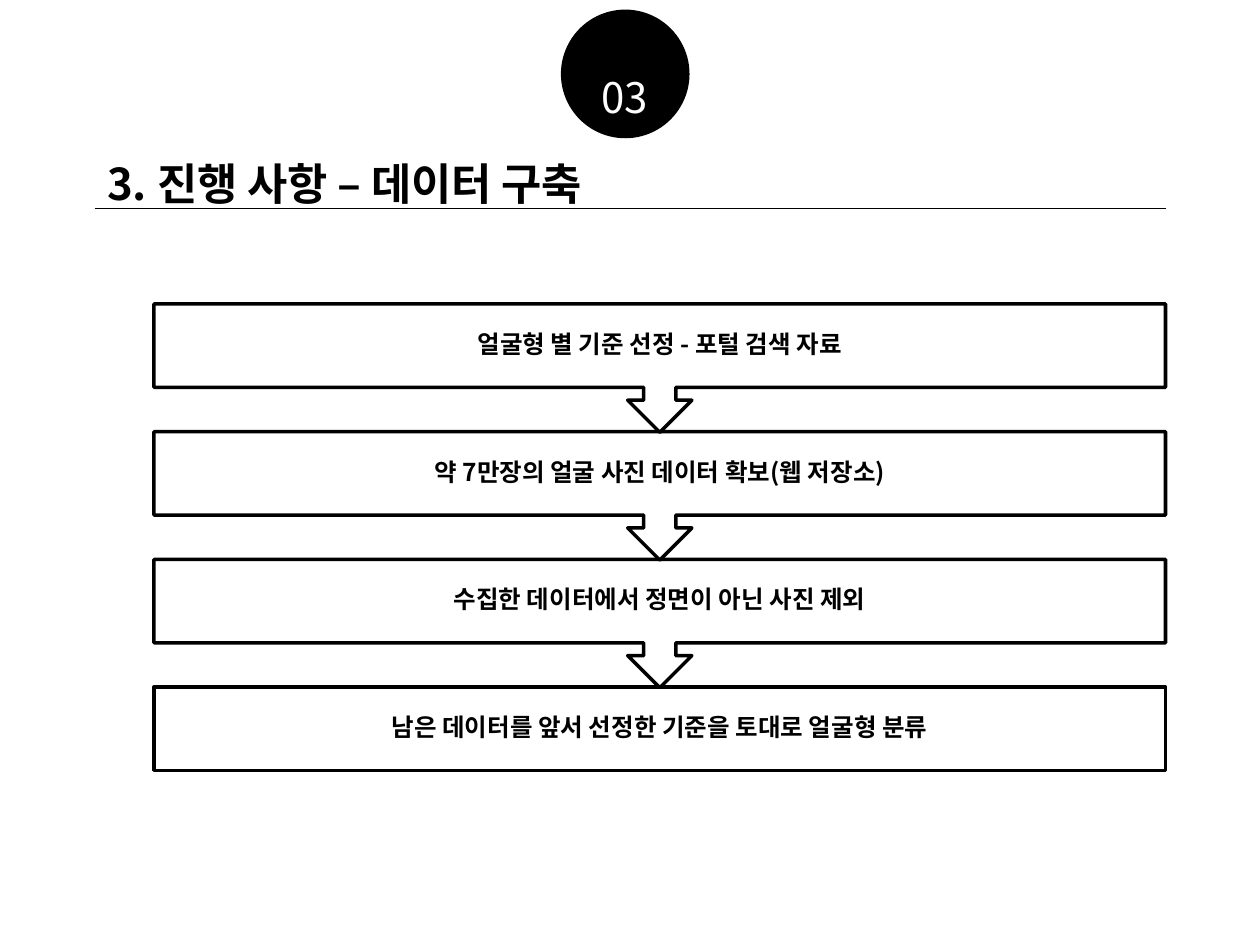
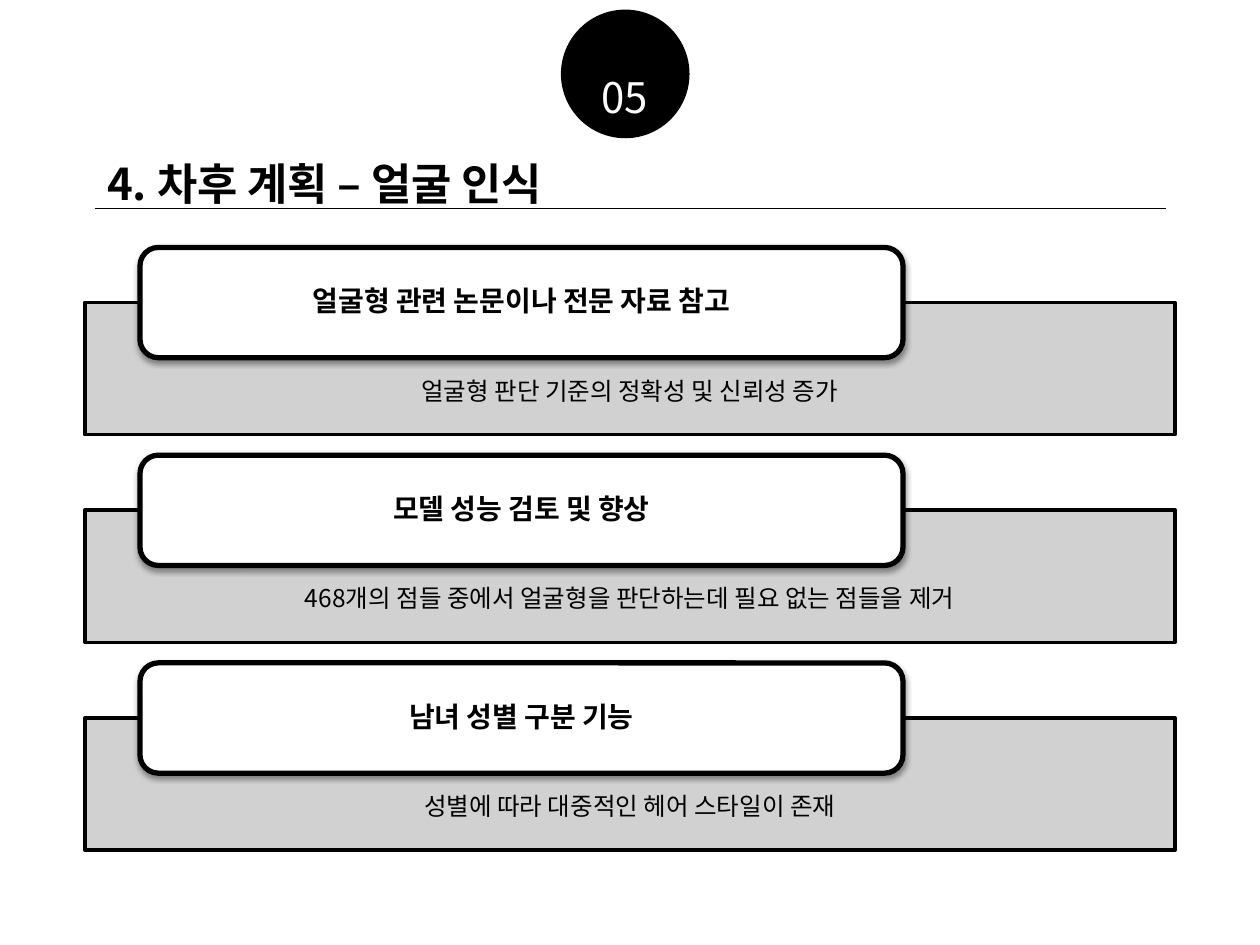
from lxml import etree
from pptx import Presentation
from pptx.dml.color import RGBColor
from pptx.enum.shapes import MSO_SHAPE
from pptx.enum.text import MSO_ANCHOR, PP_ALIGN
from pptx.oxml.ns import qn
from pptx.util import Pt

OVAL, RECT = MSO_SHAPE.OVAL, MSO_SHAPE.RECTANGLE
ROUND, CALLOUT = MSO_SHAPE.ROUNDED_RECTANGLE, MSO_SHAPE.UP_ARROW_CALLOUT
TOP, MIDDLE = MSO_ANCHOR.TOP, MSO_ANCHOR.MIDDLE
LEFT, CENTER = PP_ALIGN.LEFT, PP_ALIGN.CENTER

FONT = "Noto Sans CJK KR"
COLORS = {"ink": "000000", "paper": "FFFFFF", "band": "CCCCCC"}

# Text formats: font size, weight and colour
NUMBER = {"size": 24, "bold": False, "color": "paper"}
TITLE = {"size": 25, "bold": True, "color": "ink"}
STEP = {"size": 14, "bold": True, "color": "ink"}
HEADING = {"size": 16, "bold": True, "color": "ink"}
DETAIL = {"size": 14, "bold": False, "color": "ink"}

STEPS = [
    "얼굴형 별 기준 선정 - 포털 검색 자료",
    "약 7만장의 얼굴 사진 데이터 확보(웹 저장소)",
    "수집한 데이터에서 정면이 아닌 사진 제외",
    "남은 데이터를 앞서 선정한 기준을 토대로 얼굴형 분류",
]
PLANS = [
    ("얼굴형 관련 논문이나 전문 자료 참고", "얼굴형 판단 기준의 정확성 및 신뢰성 증가"),
    ("모델 성능 검토 및 향상",
     "468개의 점들 중에서 얼굴형을 판단하는데 필요 없는 점들을 제거"),
    ("남녀 성별 구분 기능", "성별에 따라 대중적인 헤어 스타일이 존재"),
]


def rgb(name):
    return RGBColor.from_string(COLORS[name])


def write(tf, text, fmt, align=CENTER, spacing=None):
    p = tf.paragraphs[0]
    p.alignment = align
    if spacing:
        p.line_spacing = spacing
    r = p.add_run()
    r.text = text
    for key, value in {"name": FONT, "size": Pt(fmt["size"]),
                       "bold": fmt["bold"]}.items():
        setattr(r.font, key, value)
    r.font.color.rgb = rgb(fmt["color"])
    etree.SubElement(r.font._element, qn("a:ea"), typeface=FONT)


def set_frame(tf, insets, anchor):
    sides = ("margin_left", "margin_top", "margin_right", "margin_bottom")
    values = dict(zip(sides, map(Pt, insets)), word_wrap=True, vertical_anchor=anchor)
    for key, value in values.items():
        setattr(tf, key, value)


def add_shape(s, kind, box, fill, line=0):
    sp = s.shapes.add_shape(kind, *map(Pt, box))
    sp.shadow.inherit = False
    sp.fill.solid()
    sp.fill.fore_color.rgb = rgb(fill)
    if line:
        sp.line.color.rgb = rgb("ink")
        sp.line.width = Pt(line)
    else:
        sp.line.fill.background()
    return sp


def add_text(s, box, text, fmt, insets, anchor=MIDDLE, spacing=None):
    tf = s.shapes.add_textbox(*map(Pt, box)).text_frame
    set_frame(tf, insets, anchor)
    write(tf, text, fmt, spacing=spacing)


def set_alpha(color, percent):
    etree.SubElement(color, qn("a:alpha"), val=str(percent * 1000))


def add_soft_shadow(sp):
    effects = sp._element.spPr.find(qn("a:effectLst"))
    shadow = etree.SubElement(effects, qn("a:outerShdw"), blurRad=str(Pt(3.1)),
                              dist=str(Pt(1.6)), dir="5400000", rotWithShape="0")
    set_alpha(etree.SubElement(shadow, qn("a:srgbClr"), val=COLORS["ink"]), 38)


def add_title(s, text):
    """One-cell table whose bottom border underlines the title."""
    table = s.shapes.add_table(1, 1, Pt(54), Pt(82), Pt(612), Pt(29.5)).table
    table.first_row = table.horz_banding = False
    cell = table.cell(0, 0)
    write(cell.text_frame, text, TITLE, LEFT)
    tcPr = cell._tc.get_or_add_tcPr()
    for side in ("lnL", "lnR", "lnT", "lnB"):
        ln = etree.SubElement(tcPr, qn("a:" + side), w=str(Pt(1)))
        if side == "lnB":
            fill = etree.SubElement(ln, qn("a:solidFill"))
            etree.SubElement(fill, qn("a:srgbClr"), val=COLORS["ink"])
        else:
            etree.SubElement(ln, qn("a:noFill"))
    cell.fill.background()


def new_slide(prs, number, title):
    s = prs.slides.add_slide(prs.slide_layouts[6])
    # Section number on a disc
    add_shape(s, OVAL, (320.5, 5.5, 73.5, 73.5), "ink")
    add_text(s, (314.6, 37.4, 85, 36), number, NUMBER, (7.2, 3.6, 7.2, 3.6), TOP)
    add_title(s, title)
    return s


def add_steps(s):
    """Stacked boxes; every box but the last ends in a down arrow."""
    left, top, width, height, pitch = 88, 173.6, 578, 47.6, 73
    # From the bottom up, so that each arrow tip lies over the next box
    for i, text in reversed(list(enumerate(STEPS))):
        y = top + i * pitch
        if i == len(STEPS) - 1:
            add_shape(s, RECT, (left, y, width, height), "paper", 2)
        else:
            sp = add_shape(s, CALLOUT, (left, y, width, 73.4), "paper", 2)
            sp.rotation = 180
        add_text(s, (left, y, width, height), text, STEP, (8,) * 4, spacing=0.9)


def add_plans(s):
    """Grey detail bands, each with a rounded heading over its top edge."""
    pitch = 118.7
    for i, (heading, detail) in enumerate(PLANS):
        y = 172.8 + i * pitch
        band = add_shape(s, RECT, (48.5, y, 623, 75.6), "band", 2)
        set_alpha(band.fill._xPr.find(qn("a:solidFill"))[0], 90)
        set_frame(band.text_frame, (48, 43.7, 48, 8), TOP)
        write(band.text_frame, detail, DETAIL, spacing=0.9)

        tab = add_shape(s, ROUND, (80, y - 31.4, 436, 63), "paper", 3)
        add_soft_shadow(tab)
        set_frame(tab.text_frame, (16.5, 0, 16.5, 0), MIDDLE)
        write(tab.text_frame, heading, HEADING, spacing=0.9)


def main():
    prs = Presentation()
    prs.slide_width, prs.slide_height = Pt(720), Pt(540)
    add_steps(new_slide(prs, "03", "3. 진행 사항 – 데이터 구축"))
    add_plans(new_slide(prs, "05", "4. 차후 계획 – 얼굴 인식"))
    prs.save("out.pptx")


main()
